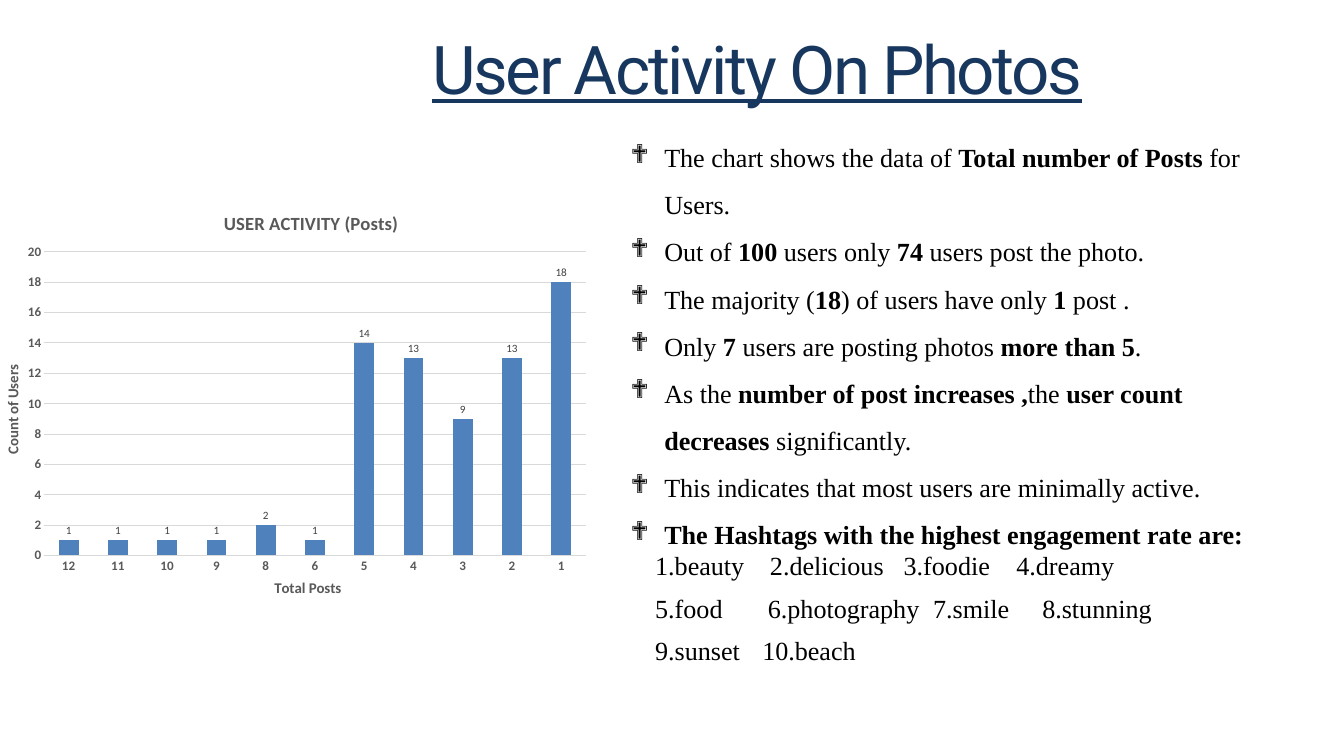
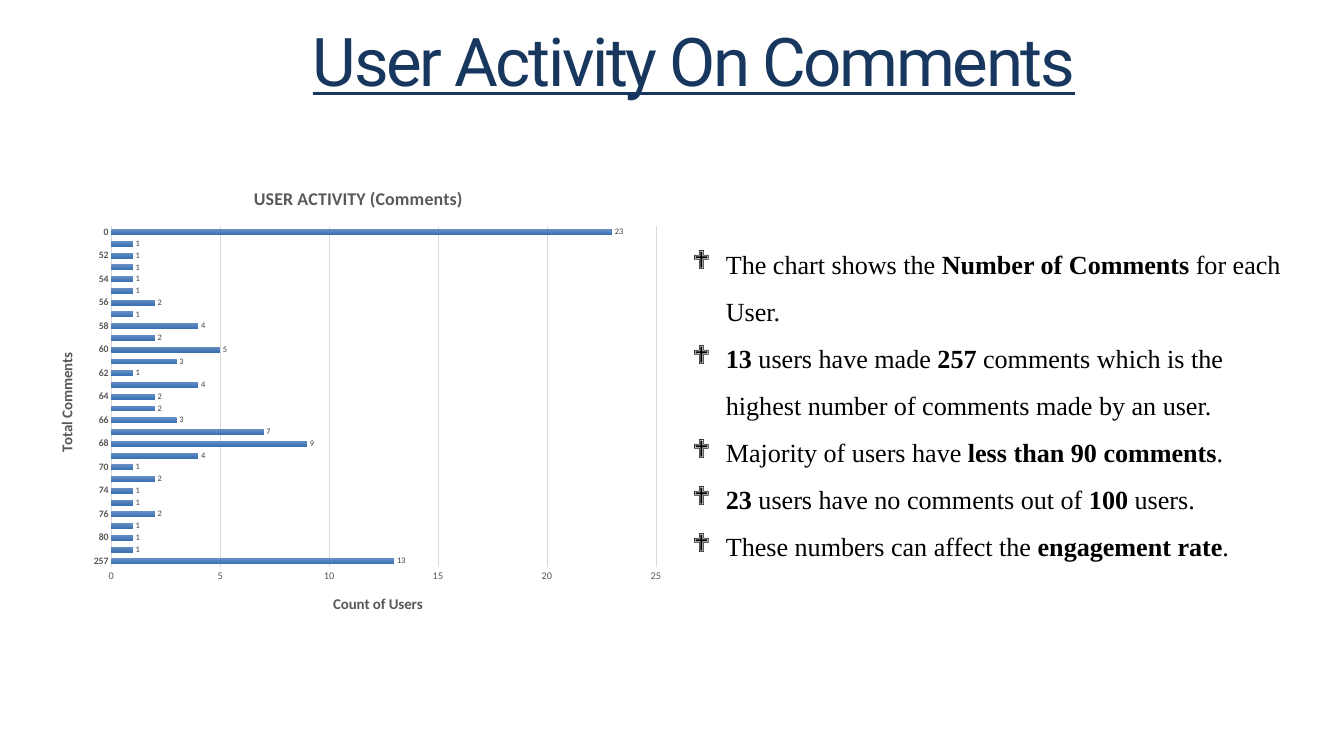
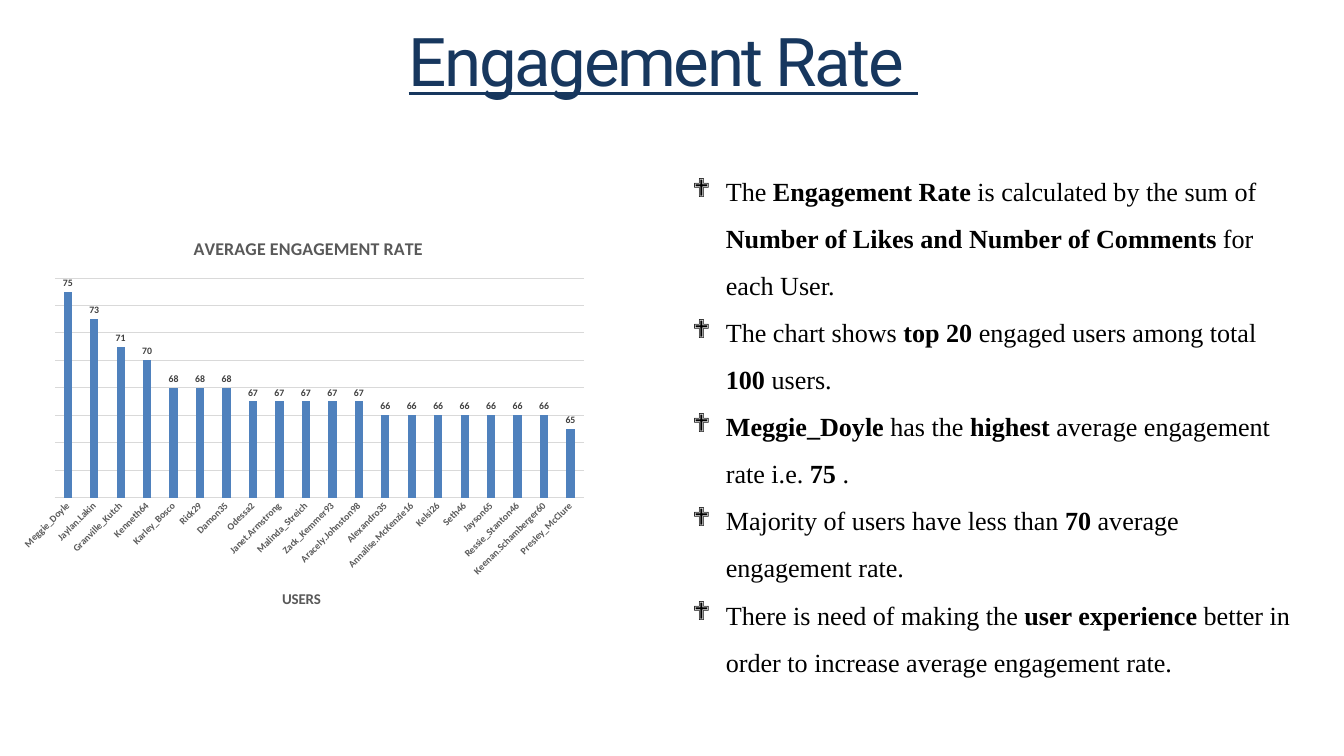
from pptx import Presentation, util as u
from pptx.chart.data import CategoryChartData
from pptx.dml.color import RGBColor
from pptx.enum import chart as ch, text as t
from pptx.oxml import parse_xml
from pptx.oxml.ns import nsdecls, qn

NAVY = RGBColor(0x17, 0x37, 0x5E)
BLACK = RGBColor(0, 0, 0)
GREY = RGBColor(0x59, 0x59, 0x59)
LABEL_GREY = RGBColor(0x40, 0x40, 0x40)
GRID_GREY = RGBColor(0xD9, 0xD9, 0xD9)
BLUE = RGBColor(0x4F, 0x81, 0xBD)
GRADIENT = RGBColor(0x68, 0x8F, 0xC5), RGBColor(0x3B, 0x72, 0xB3)

HEADING_FONT, BODY_FONT, CHART_FONT = "Roboto", "Times New Roman", "Calibri"
BULLET_FONT = "Wingdings"
BULLET_INDENT, BULLET_HANG = 61, 48

POSTS = {"12": 1, "11": 1, "10": 1, "9": 1, "8": 2, "6": 1, "5": 14,
         "4": 13, "3": 9, "2": 13, "1": 18}
COMMENTS = {
    "257": 13, "83": 1, "80": 1, "77": 1, "76": 2, "75": 1, "74": 1, "72": 2,
    "70": 1, "69": 4, "68": 9, "67": 7, "66": 3, "65": 2, "64": 2, "63": 4,
    "62": 1, "61": 3, "60": 5, "59": 2, "58": 4, "57": 1, "56": 2, "55": 1,
    "54": 1, "53": 1, "52": 1, "49": 1, "0": 23}
ENGAGEMENT = {
    "Meggie_Doyle": 75, "Jaylan.Lakin": 73, "Granville_Kutch": 71,
    "Kenneth64": 70, "Karley_Bosco": 68, "Rick29": 68, "Damon35": 68,
    "Odessa2": 67, "Janet.Armstrong": 67, "Malinda_Streich": 67,
    "Zack_Kemmer93": 67, "Aracely.Johnston98": 67, "Alexandro35": 66,
    "Annalise.McKenzie16": 66, "Kelsi26": 66, "Seth46": 66, "Jayson65": 66,
    "Ressie_Stanton46": 66, "Keenan.Schamberger60": 66, "Presley_McClure": 65}

POSTS_POINTS = [
    "The chart shows the data of **Total number of Posts **for Users.",
    "Out of **100** users only **74** users post the photo.",
    "The majority (**18**) of users have only **1** post .",
    "Only **7 **users are posting photos **more than 5**.",
    "As the **number of post increases ,**the **user count decreases** significantly.",
    "This indicates that most users are minimally active.",
    "**The Hashtags with the highest engagement rate are:**"]
# Each hashtag with the tab position it starts at
HASHTAG_ROWS = [
    {"1.beauty": 48, "2.delicious": 212, "3.foodie": 403, "4.dreamy": 564},
    {"5.food": 48, "6.photography": 209, "7.smile": 445, "8.stunning": 601},
    {"9.sunset": 48, "10.beach": 201}]
COMMENTS_POINTS = [
    "The chart shows the **Number of Comments **for each User.",
    "**13** users have made **257 **comments which is the highest number of "
    "comments made by an user.",
    "Majority of users have **less than 90 comments**.",
    "**23** users have no comments out of **100** users.",
    "These numbers can affect the **engagement rate**."]
ENGAGEMENT_POINTS = [
    "The **Engagement Rate **is calculated by the sum of **Number of Likes and "
    "Number of Comments **for each User.",
    "The chart shows **top 20 **engaged users among total **100** users.",
    "**Meggie_Doyle **has the **highest** average engagement rate i.e. **75** .",
    "Majority of users have less than **70** average engagement rate.",
    "There is need of making the **user experience **better in order to "
    "increase average engagement rate."]


def px(length):
    return u.Emu(length * 9525)


def style(font, size, color=GREY, name=CHART_FONT, bold=False, underline=False):
    font.size, font.name = u.Pt(size), name
    font.bold, font.underline = bold, underline
    font.color.rgb = color


def write(para, words, spacing=None, **look):
    """Add words to a paragraph; stretches between ** marks are bold."""
    for index, part in enumerate(words.split("**")):
        if part:
            span = para.add_run()
            span.text = part
            style(span.font, **{"bold": index % 2 == 1, **look})
            if spacing:
                span._r.get_or_add_rPr().set("spc", str(round(spacing * 100)))


def fit_frame(frame):
    frame.margin_left = frame.margin_right = frame.margin_top = frame.margin_bottom = 0
    frame.word_wrap = True
    frame.auto_size = t.MSO_AUTO_SIZE.SHAPE_TO_FIT_TEXT
    frame.vertical_anchor = t.MSO_ANCHOR.TOP


def add_slide(deck, words, left, top, width):
    page = deck.slides.add_slide(deck.slide_layouts[5])
    title = page.shapes.title
    title.left, title.top, title.width, title.height = map(px, (left, top, width, 116))
    fit_frame(title.text_frame)
    para = title.text_frame.paragraphs[0]
    para.alignment = t.PP_ALIGN.RIGHT
    para.line_spacing = u.Pt(86.4)
    write(para, words, size=72, color=NAVY, name=HEADING_FONT, underline=True, spacing=-2.55)
    return page


def add_bullets(page, points, *place):
    frame = page.shapes.add_textbox(*map(px, place)).text_frame
    fit_frame(frame)
    for index, point in enumerate(points):
        para = frame.add_paragraph() if index else frame.paragraphs[0]
        para.line_spacing = 1.5
        props = para._p.get_or_add_pPr()
        props.set("marL", str(px(BULLET_INDENT)))
        props.set("indent", str(px(-BULLET_HANG)))
        for tag, inner in (("buClr", f'><a:srgbClr val="{BLACK}"/></a:buClr>'),
                           ("buFont", f' typeface="{BULLET_FONT}" charset="2"/>'),
                           ("buChar", ' char="❖"/>')):
            props.append(parse_xml(f'<a:{tag} {nsdecls("a")}{inner}'))
        write(para, point, size=28, color=BLACK, name=BODY_FONT)
    return frame


def add_tabbed_row(frame, row):
    para = frame.add_paragraph()
    para.alignment = t.PP_ALIGN.JUSTIFY
    para.space_after = u.Pt(12)
    stops = "".join(f'<a:tab pos="{px(stop)}" algn="l"/>' for stop in row.values())
    para._p.get_or_add_pPr().append(
        parse_xml(f'<a:tabLst {nsdecls("a")}>{stops}</a:tabLst>'))
    write(para, "".join(f"\t{tag}" for tag in row), size=28, color=BLACK, name=BODY_FONT)


def set_layout(element, index, frame, *place):
    """Place a chart part, in px from the corner of its chart's frame."""
    for layout in element.findall(qn("c:layout")):
        element.remove(layout)
    target = '<c:layoutTarget val="inner"/>' if len(place) == 4 else ""
    modes = "".join(f'<c:{key}Mode val="edge"/>' for key in "xy")
    sizes = "".join(f'<c:{key} val="{length / whole:.4f}"/>'
                    for key, length, whole in zip("xywh", place, frame[2:] * 2))
    element.insert(index, parse_xml(
        f'<c:layout {nsdecls("c")}><c:manualLayout>{target}{modes}{sizes}'
        '</c:manualLayout></c:layout>'))


def set_title(title, frame, words, size, x, y, upright=False):
    write(title.text_frame.paragraphs[0], words, size=size, bold=True)
    set_layout(title._element, 1, frame, x, y)
    if upright:
        body = next(title._element.iter(qn("a:bodyPr")))
        body.set("rot", "-5400000")
        body.set("vert", "horz")


def style_axis(axis, size, bold=True, line=None):
    axis.major_tick_mark = axis.minor_tick_mark = ch.XL_TICK_MARK.NONE
    style(axis.tick_labels.font, size, bold=bold)
    if line:
        axis.format.line.color.rgb = GRID_GREY
        axis.format.line.width = u.Pt(line)
    else:
        axis.format.line.fill.background()


def add_bar_chart(page, kind, values, frame, title, plot, scale, gap, overlap=0,
                  label_size=12, label_bold=False):
    data = CategoryChartData()
    data.categories = list(values)
    data.add_series("Series 1", list(values.values()))
    chart = page.shapes.add_chart(kind, *map(px, frame), data).chart
    style(chart.font, 10, BLACK)
    chart.has_legend = False
    set_title(chart.chart_title, frame, *title)
    set_layout(chart._chartSpace.chart.plotArea, 0, frame, *plot)

    axis = chart.value_axis
    axis.minimum_scale, axis.maximum_scale, axis.major_unit = scale
    axis.has_major_gridlines = True
    axis.major_gridlines.format.line.color.rgb = GRID_GREY
    axis.major_gridlines.format.line.width = u.Pt(0.75)

    bars = chart.plots[0]
    bars.gap_width, bars.overlap, bars.vary_by_categories = gap, overlap, False
    bars.has_data_labels = True
    labels = bars.data_labels
    labels.show_value = True
    labels.position = ch.XL_LABEL_POSITION.OUTSIDE_END
    style(labels.font, label_size, LABEL_GREY, bold=label_bold)
    fill = bars.series[0].format.fill
    fill.solid()
    fill.fore_color.rgb = BLUE
    return chart


def posts_slide(deck):
    page = add_slide(deck, "User Activity On Photos", 426, 39, 1120)
    frame = (0, 260, 852, 600)
    chart = add_bar_chart(
        page, ch.XL_CHART_TYPE.COLUMN_CLUSTERED, POSTS, frame,
        ("USER ACTIVITY (Posts)", 20, 315, 35), (63, 100, 774, 436),
        (0, 20, 2), gap=150)
    style_axis(chart.category_axis, 14)
    style_axis(chart.value_axis, 14)
    set_title(chart.category_axis.axis_title, frame, "Total Posts", 16, 388, 564)
    set_title(chart.value_axis.axis_title, frame, "Count of Users", 16, 0, 259, upright=True)
    body = add_bullets(page, POSTS_POINTS, 888, 180, 934, 863)
    for row in HASHTAG_ROWS:
        add_tabbed_row(body, row)


def comments_slide(deck):
    page = add_slide(deck, "User Activity On Comments", 232, 28, 1304)
    add_bullets(page, COMMENTS_POINTS, 976, 332, 870, 467)
    frame = (60, 244, 902, 656)
    chart = add_bar_chart(
        page, ch.XL_CHART_TYPE.BAR_CLUSTERED, COMMENTS, frame,
        ("USER ACTIVITY (Comments)", 19.2, 298, 17), (99, 79, 778, 487),
        (0, 25, 5), gap=115, overlap=-20, label_size=9)
    style_axis(chart.category_axis, 10.5, line=1)
    style_axis(chart.value_axis, 11, bold=False)
    set_title(chart.category_axis.axis_title, frame, "Total Comments", 16, 17, 256, upright=True)
    set_title(chart.value_axis.axis_title, frame, "Count of Users", 16, 412, 601)
    fill = chart.plots[0].series[0].format.fill
    fill.gradient()
    fill.gradient_angle = 270
    for stop, color in zip(fill.gradient_stops, GRADIENT):
        stop.color.rgb = color


def engagement_slide(deck):
    page = add_slide(deck, "Engagement Rate ", 456, 28, 856)
    add_bullets(page, ENGAGEMENT_POINTS, 976, 228, 870, 738)
    frame = (24, 300, 824, 576)
    chart = add_bar_chart(
        page, ch.XL_CHART_TYPE.COLUMN_CLUSTERED, ENGAGEMENT, frame,
        ("AVERAGE ENGAGEMENT RATE", 19.2, 248, 33), (54, 97, 756, 314),
        (60, 76, 2), gap=219, overlap=-27, label_size=10.5, label_bold=True)
    chart.value_axis.visible = False
    style_axis(chart.category_axis, 10.5, line=0.75)
    names = chart.category_axis._element.find(qn("c:txPr"))
    names.find(qn("a:bodyPr")).set("rot", "-2700000")
    set_title(chart.category_axis.axis_title, frame, "USERS", 16, 375, 537)


def main():
    deck = Presentation()
    deck.slide_width, deck.slide_height = px(1920), px(1080)
    posts_slide(deck)
    comments_slide(deck)
    engagement_slide(deck)
    deck.save("out.pptx")


if __name__ == "__main__":
    main()
